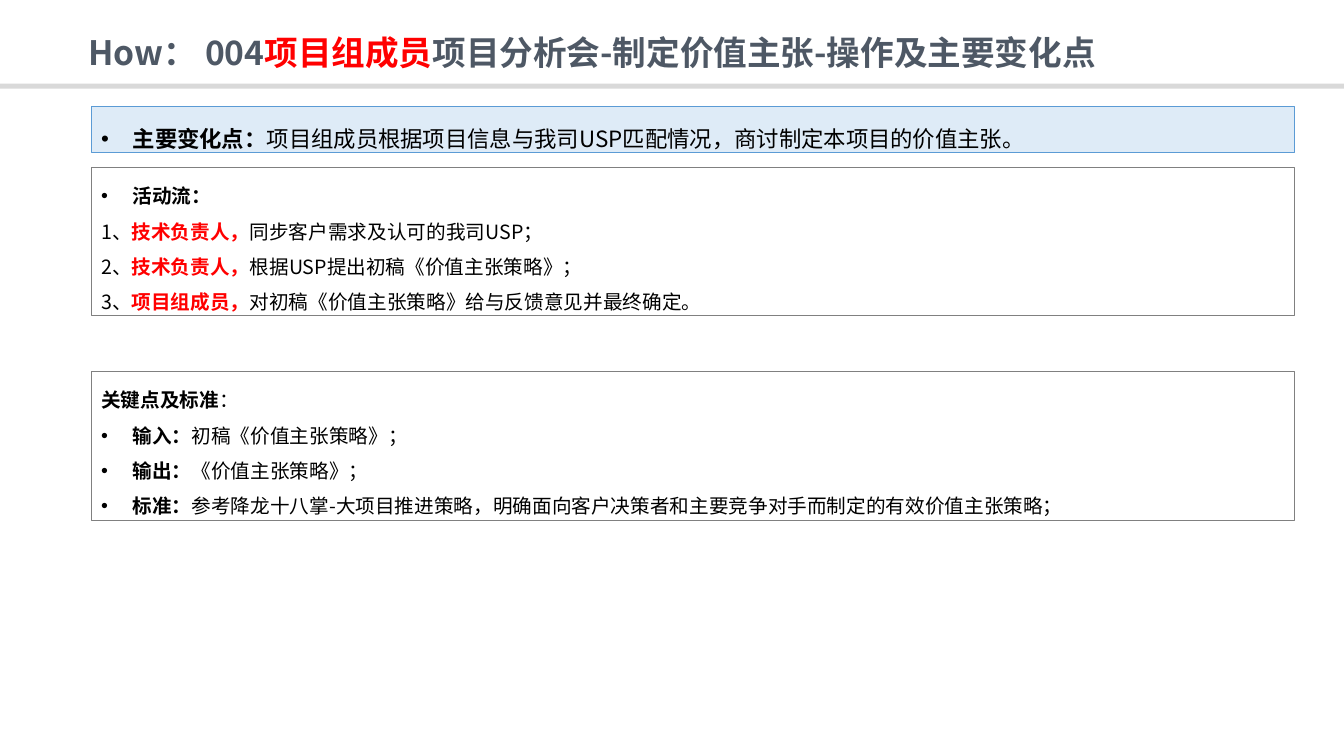
from pptx import Presentation
from pptx.dml.color import RGBColor
from pptx.enum.shapes import MSO_SHAPE as SHAPE
from pptx.enum.text import MSO_ANCHOR as ANCHOR, MSO_AUTO_SIZE as AUTO, PP_ALIGN as ALIGN
from pptx.oxml.ns import qn
from pptx.util import Pt
from lxml import etree

FONT = "Noto Sans CJK SC"
C = {"bar": "D9D9D9", "title": "4E5865", "red": "FF0000", "black": "000000",
     "pale": "DEEBF7", "blue": "5B9BD5", "grey": "808080"}

prs = Presentation()
prs.slide_width, prs.slide_height = Pt(960), Pt(540)
s = prs.slides.add_slide(prs.slide_layouts[6])


def add_run(p, text, size=14, color="black", bold=False):
    r = p.add_run()
    r.text = text
    f = r.font
    f.name, f.size, f.bold = FONT, Pt(size), bold
    f.color.rgb = RGBColor.from_string(C[color])
    ea = etree.SubElement(r._r.get_or_add_rPr(), qn("a:ea"))
    ea.set("typeface", FONT)


def add_rect(left, top, width, height, fill=None, line=None):
    sp = s.shapes.add_shape(SHAPE.RECTANGLE, Pt(left), Pt(top), Pt(width), Pt(height))
    sp.shadow.inherit = False
    if fill:
        sp.fill.solid()
        sp.fill.fore_color.rgb = RGBColor.from_string(C[fill])
    else:
        sp.fill.background()
    if line:
        sp.line.color.rgb = RGBColor.from_string(C[line])
        sp.line.width = Pt(0.75)
    else:
        sp.line.fill.background()
    return sp


# Title and the bar under it
add_rect(0, 59.8, 960, 3.6, fill="bar")
tf = s.shapes.add_textbox(Pt(56.2), Pt(22.3), Pt(903.8), Pt(33.8)).text_frame
tf.word_wrap = True
tf.vertical_anchor = ANCHOR.MIDDLE
p = tf.paragraphs[0]
p.line_spacing = 0.9
for text, color in [("How： 004", "title"), ("项目组成员", "red"),
                    ("项目分析会-制定价值主张-操作及主要变化点", "title")]:
    add_run(p, text, size=24, color=color, bold=True)

# Boxes: top, height, fill, line, size, paragraphs of (bulleted, lead, lead colour, rest)
boxes = [
    (76.2, 33, "pale", "blue", 16, [
        (True, "主要变化点：", "black", "项目组成员根据项目信息与我司USP匹配情况，商讨制定本项目的价值主张。")]),
    (119.6, 106, None, "grey", 14, [
        (True, "活动流：", "black", ""),
        (False, "技术负责人，", "red", "同步客户需求及认可的我司USP；"),
        (False, "技术负责人，", "red", "根据USP提出初稿《价值主张策略》；"),
        (False, "项目组成员，", "red", "对初稿《价值主张策略》给与反馈意见并最终确定。")]),
    (265.4, 106.4, None, "grey", 14, [
        (False, "关键点及标准", "black", "："),
        (True, "输入：", "black", "初稿《价值主张策略》；"),
        (True, "输出：", "black", "《价值主张策略》；"),
        (True, "标准：", "black",
         "参考降龙十八掌-大项目推进策略，明确面向客户决策者和主要竞争对手而制定的有效价值主张策略；")]),
]
for top, height, fill, line, size, paragraphs in boxes:
    tf = add_rect(65.2, top, 859.6, height, fill, line).text_frame
    tf.word_wrap = True
    tf.auto_size = AUTO.SHAPE_TO_FIT_TEXT
    tf.vertical_anchor = ANCHOR.TOP
    for i, (bulleted, lead, color, rest) in enumerate(paragraphs):
        p = tf.add_paragraph() if i else tf.paragraphs[0]
        p.alignment = ALIGN.LEFT
        p.line_spacing = 1.5
        if bulleted:
            pPr = p._p.get_or_add_pPr()
            pPr.set("marL", str(Pt(22.5)))
            pPr.set("indent", str(-Pt(22.5)))
            etree.SubElement(pPr, qn("a:buFont")).set("typeface", "Arial")
            etree.SubElement(pPr, qn("a:buChar")).set("char", "•")
        if color == "red":
            add_run(p, f"{i}、", size=size)
        add_run(p, lead, size=size, color=color, bold=True)
        if rest:
            add_run(p, rest, size=size)

prs.save("out.pptx")
